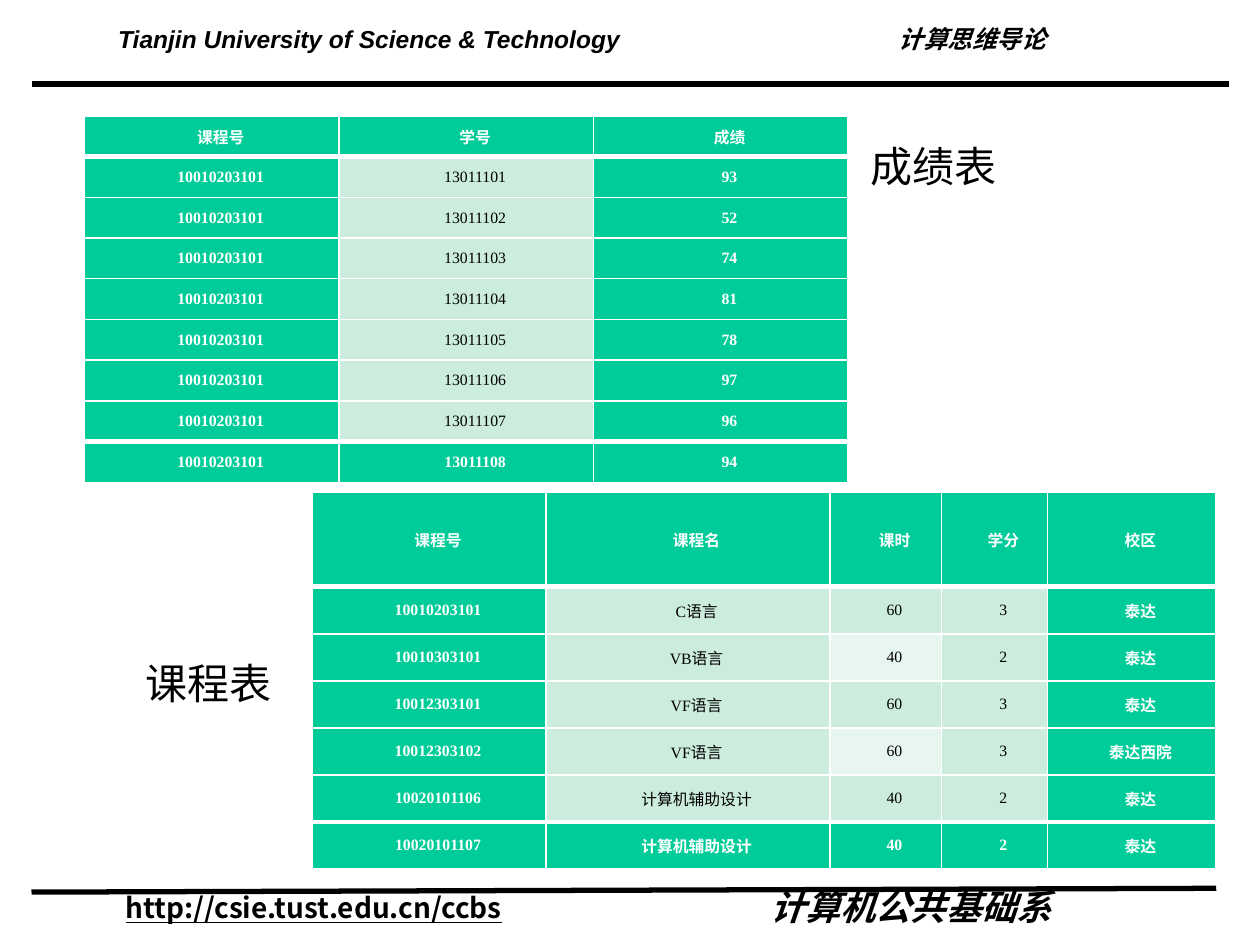
from lxml.etree import SubElement
from pptx import Presentation
from pptx.dml.color import RGBColor
from pptx.enum.shapes import MSO_CONNECTOR
from pptx.enum.text import MSO_ANCHOR, PP_ALIGN
from pptx.oxml.ns import qn
from pptx.util import Pt

BLACK = RGBColor(0x00, 0x00, 0x00)
WHITE = RGBColor(0xFF, 0xFF, 0xFF)
GREEN = RGBColor(0x00, 0xCC, 0x99)
PALE_GREEN = RGBColor(0xCC, 0xEC, 0xDE)
PALEST_GREEN = RGBColor(0xE7, 0xF6, 0xEF)

presentation = Presentation()
presentation.slide_width = Pt(720)
presentation.slide_height = Pt(540)
slide = presentation.slides.add_slide(presentation.slide_layouts[6])


def add_text(text, left, top, width, height, size, font_name, heading=True):
    """Add a one-paragraph text box and return its paragraph."""
    box = slide.shapes.add_textbox(Pt(left), Pt(top), Pt(width), Pt(height))
    box.text_frame.word_wrap = heading
    paragraph = box.text_frame.paragraphs[0]
    paragraph.text = text
    paragraph.font.size = Pt(size)
    paragraph.font.name = font_name
    paragraph.font.color.rgb = BLACK
    if heading:
        paragraph.font.bold = True
        paragraph.line_spacing = 0.7
    return paragraph


def add_data_table(rows, left, top, column_widths, row_heights, light_cells):
    """Add a table with green outer cells, pale inner cells and white borders."""
    frame = slide.shapes.add_table(
        len(rows), len(column_widths), Pt(left), Pt(top),
        Pt(sum(column_widths)), Pt(sum(row_heights)))
    table = frame.table
    table.horz_banding = False
    for column, width in zip(table.columns, column_widths):
        column.width = Pt(width)
    for row, height in zip(table.rows, row_heights):
        row.height = Pt(height)

    last_row, last_column = len(rows) - 1, len(column_widths) - 1
    for row_index, values in enumerate(rows):
        for column_index, value in enumerate(values):
            cell = table.cell(row_index, column_index)
            accent = row_index in (0, last_row) or column_index in (0, last_column)
            cell.vertical_anchor = MSO_ANCHOR.MIDDLE
            cell.margin_left = cell.margin_right = Pt(5)
            cell.margin_top = cell.margin_bottom = 0

            paragraph = cell.text_frame.paragraphs[0]
            paragraph.text = value
            paragraph.alignment = PP_ALIGN.CENTER
            paragraph.font.size = Pt(9)
            paragraph.font.name = "Times New Roman"
            paragraph.font.bold = accent
            paragraph.font.color.rgb = WHITE if accent else BLACK
            paragraph._p.get_or_add_pPr().set("indent", str(Pt(10)))

            thick_top = row_index in (1, last_row)
            thick_bottom = row_index in (0, last_row - 1)
            borders = {"lnL": 1, "lnR": 1,
                       "lnT": 3 if thick_top else 1,
                       "lnB": 3 if thick_bottom else 1}
            properties = cell._tc.get_or_add_tcPr()
            for edge, width in borders.items():
                line = SubElement(properties, qn(f"a:{edge}"), w=str(Pt(width)))
                line_fill = SubElement(line, qn("a:solidFill"))
                SubElement(line_fill, qn("a:srgbClr"), val=str(WHITE))

            cell.fill.solid()
            if accent:
                cell.fill.fore_color.rgb = GREEN
            elif (row_index, column_index) in light_cells:
                cell.fill.fore_color.rgb = PALEST_GREEN
            else:
                cell.fill.fore_color.rgb = PALE_GREEN


# Header and footer
for start_x, start_y, end_x, end_y in [(702, 48, 18, 48), (695, 507.6, 18, 509.8)]:
    rule = slide.shapes.add_connector(
        MSO_CONNECTOR.STRAIGHT, Pt(start_x), Pt(start_y), Pt(end_x), Pt(end_y))
    rule.line.color.rgb = BLACK
    rule.line.width = Pt(3)
    SubElement(rule._element.spPr, qn("a:effectLst"))

header = add_text("Tianjin University of Science & Technology\t计算思维导论",
                  60.5, 15, 571.7, 18.7, 14, "Arial")
header.font.italic = True
header_properties = header._p.get_or_add_pPr()
tab_list = header_properties.makeelement(qn("a:tabLst"))
SubElement(tab_list, qn("a:tab"), pos=str(Pt(446)), algn="l")
header_properties.find(qn("a:defRPr")).addprevious(tab_list)

department = add_text("计算机公共基础系", 433.4, 509, 254.9, 23.8, 20, "Noto Sans CJK SC")
department.font.italic = True
address = add_text("http://csie.tust.edu.cn/ccbs", 64.8, 510.5, 260.6, 20.9, 16,
                   "Noto Sans CJK SC")
address.font.underline = True

# Score table
scores = [93, 52, 74, 81, 78, 97, 96, 94]
score_rows = [("课程号", "学号", "成绩")]
for number, score in enumerate(scores, start=13011101):
    score_rows.append(("10010203101", str(number), str(score)))
add_data_table(score_rows, 48.4, 66.2, [145.4] * 3, [23.3] * 9, set())

# Course table
course_rows = [
    ("课程号", "课程名", "课时", "学分", "校区"),
    ("10010203101", "C语言", "60", "3", "泰达"),
    ("10010303101", "VB语言", "40", "2", "泰达"),
    ("10012303101", "VF语言", "60", "3", "泰达"),
    ("10012303102", "VF语言", "60", "3", "泰达西院"),
    ("10020101106", "计算机辅助设计", "40", "2", "泰达"),
    ("10020101107", "计算机辅助设计", "40", "2", "泰达"),
]
add_data_table(course_rows, 178.7, 281.5, [133.2, 162.3, 64, 60.5, 96],
               [53.8] + [26.9] * 6, {(2, 2), (4, 2)})

# Table labels
for label, left, top in [("成绩表", 490.3, 77), ("课程表", 76.3, 372.2)]:
    add_text(label, left, top, 87.1, 36, 24, "Times New Roman", heading=False)

presentation.save("out.pptx")
